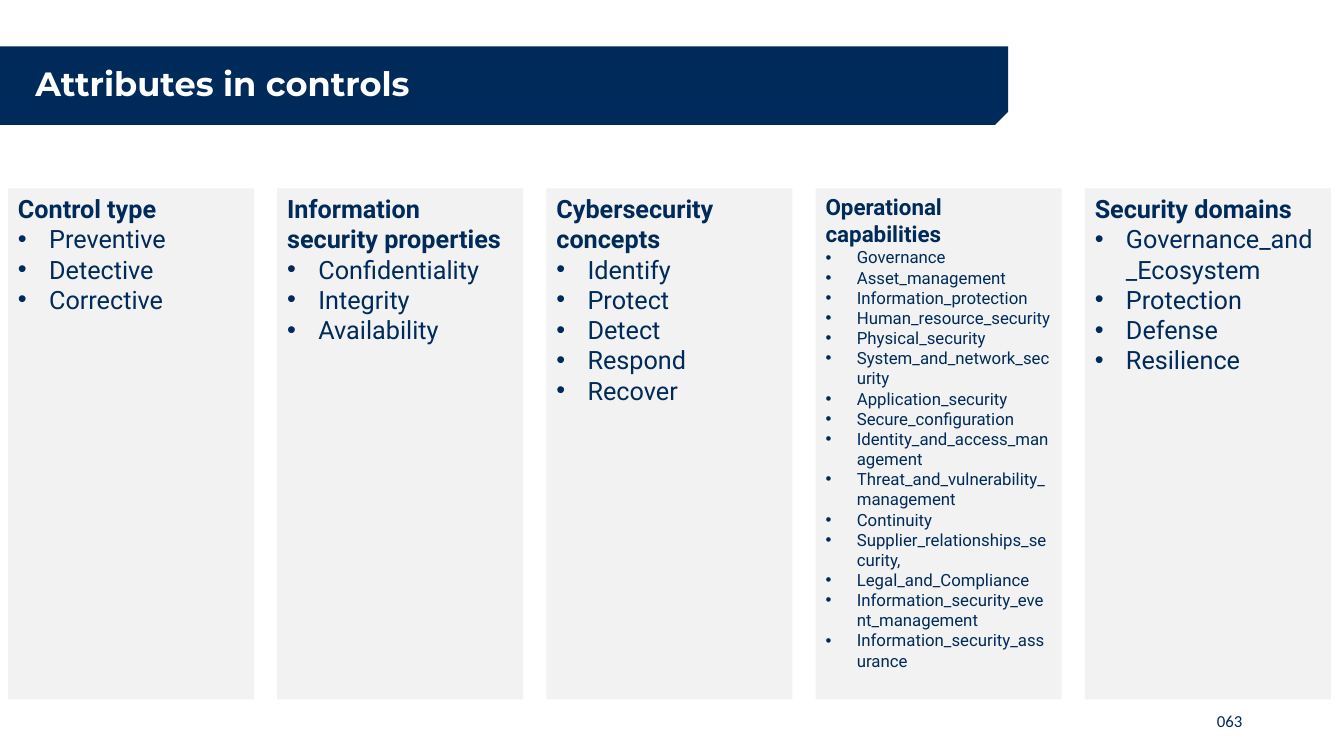
from lxml import etree
from pptx import Presentation
from pptx import util as u
from pptx.dml.color import RGBColor
from pptx.enum import shapes, text
from pptx.oxml import ns

TITLE = "Attributes in controls"
PAGE_NUMBER = "063"
PANELS = [
    ("Control type", 18, 18, ["Preventive", "Detective", "Corrective"]),
    ("Information security properties", 18, 18,
     ["Confidentiality", "Integrity", "Availability"]),
    ("Cybersecurity concepts", 18, 18,
     ["Identify", "Protect", "Detect", "Respond", "Recover"]),
    ("Operational capabilities", 16, 12, [
        "Governance",
        "Asset_management",
        "Information_protection",
        "Human_resource_security",
        "Physical_security",
        "System_and_network_security",
        "Application_security",
        "Secure_configuration",
        "Identity_and_access_management",
        "Threat_and_vulnerability_management",
        "Continuity",
        "Supplier_relationships_security,",
        "Legal_and_Compliance",
        "Information_security_event_management",
        "Information_security_assurance",
    ]),
    ("Security domains", 18, 18,
     ["Governance_and_Ecosystem", "Protection", "Defense", "Resilience"]),
]
COLORS = {"navy": "002A5A", "panel": "F2F2F2", "white": "FFFFFF"}
PANEL_LEFT, PANEL_TOP, PANEL_WIDTH, PANEL_HEIGHT = 8, 187, 244, 507
PANEL_STEP = 267
BANNER_TOP, BANNER_HEIGHT = 46, 78
BULLET_INDENT = 31


def px(length):
    return u.Emu(length * 9144)


def area(left, top, width, height):
    return px(left), px(top), px(width), px(height)


def color(name):
    return RGBColor.from_string(COLORS[name])


def add_block(page, preset, place, fill):
    block = page.shapes.add_shape(preset, *area(*place))
    block.shadow.inherit = False
    block.fill.solid()
    block.fill.fore_color.rgb = color(fill)
    block.line.fill.background()
    return block


def style(para, face, size, ink, bold=False, align=text.PP_ALIGN.LEFT):
    para.alignment = align
    para.font.name = face
    para.font.size = u.Pt(size)
    para.font.bold = bold
    para.font.color.rgb = color(ink)


def add_bullet(para):
    properties = para._p.get_or_add_pPr()
    properties.set("marL", str(px(BULLET_INDENT)))
    properties.set("indent", str(-px(BULLET_INDENT)))
    etree.SubElement(properties, ns.qn("a:buFont"), typeface="Arial")
    etree.SubElement(properties, ns.qn("a:buChar"), char="•")


def add_title(page):
    title = page.shapes.title
    title.left, title.top, title.width, title.height = area(
        25, BANNER_TOP, 950, BANNER_HEIGHT)
    frame = title.text_frame
    frame.text = TITLE
    frame.auto_size = text.MSO_AUTO_SIZE.NONE
    frame.vertical_anchor = text.MSO_ANCHOR.MIDDLE
    para = frame.paragraphs[0]
    para.line_spacing = 0.9
    style(para, "Montserrat", 24, "white", bold=True)

    banner = add_block(page, shapes.MSO_SHAPE.SNIP_ROUND_RECTANGLE,
                       (0, BANNER_TOP, 1000, BANNER_HEIGHT), "navy")
    banner.adjustments[0] = 0
    banner.adjustments[1] = 0.17
    banner.element.spPr.xfrm.set("flipV", "1")
    title.element.addprevious(banner.element)


def add_panel(page, column, heading, heading_size, item_size, items):
    place = (PANEL_LEFT + column * PANEL_STEP, PANEL_TOP,
             PANEL_WIDTH, PANEL_HEIGHT)
    panel = add_block(page, shapes.MSO_SHAPE.RECTANGLE, place, "panel")
    frame = panel.text_frame
    frame.word_wrap = True
    frame.vertical_anchor = text.MSO_ANCHOR.TOP
    frame.text = heading
    style(frame.paragraphs[0], "Roboto", heading_size, "navy", bold=True)
    for item in items:
        para = frame.add_paragraph()
        para.text = item
        add_bullet(para)
        style(para, "Roboto", item_size, "navy")


def add_page_number(page):
    box = page.shapes.add_textbox(*area(942, 695, 300, 40))
    frame = box.text_frame
    frame.word_wrap = True
    frame.vertical_anchor = text.MSO_ANCHOR.MIDDLE
    frame.text = PAGE_NUMBER
    style(frame.paragraphs[0], "Calibri", 12, "navy",
          align=text.PP_ALIGN.RIGHT)


def main():
    deck = Presentation()
    deck.slide_width, deck.slide_height = px(1333), px(750)
    page = deck.slides.add_slide(deck.slide_layouts.get_by_name("Title Only"))
    add_title(page)
    for column, panel in enumerate(PANELS):
        add_panel(page, column, *panel)
    add_page_number(page)
    deck.save("out.pptx")


if __name__ == "__main__":
    main()
